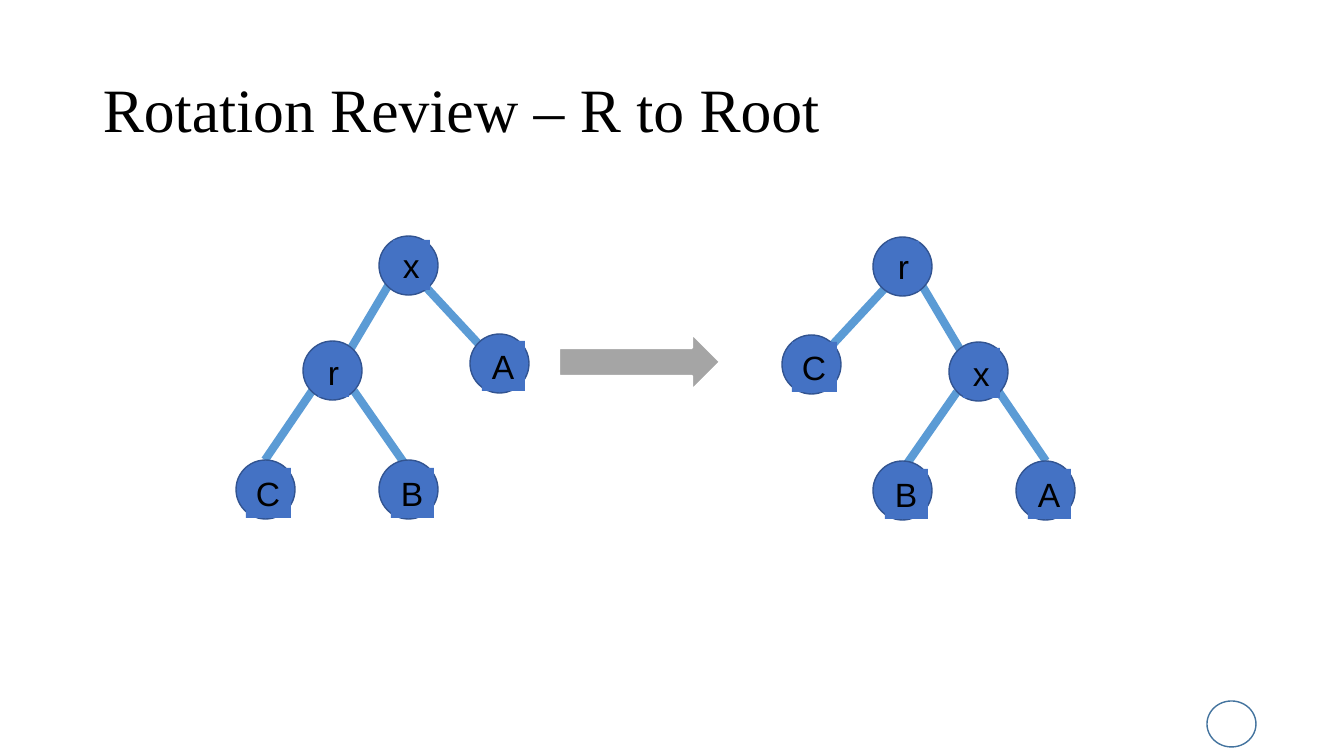
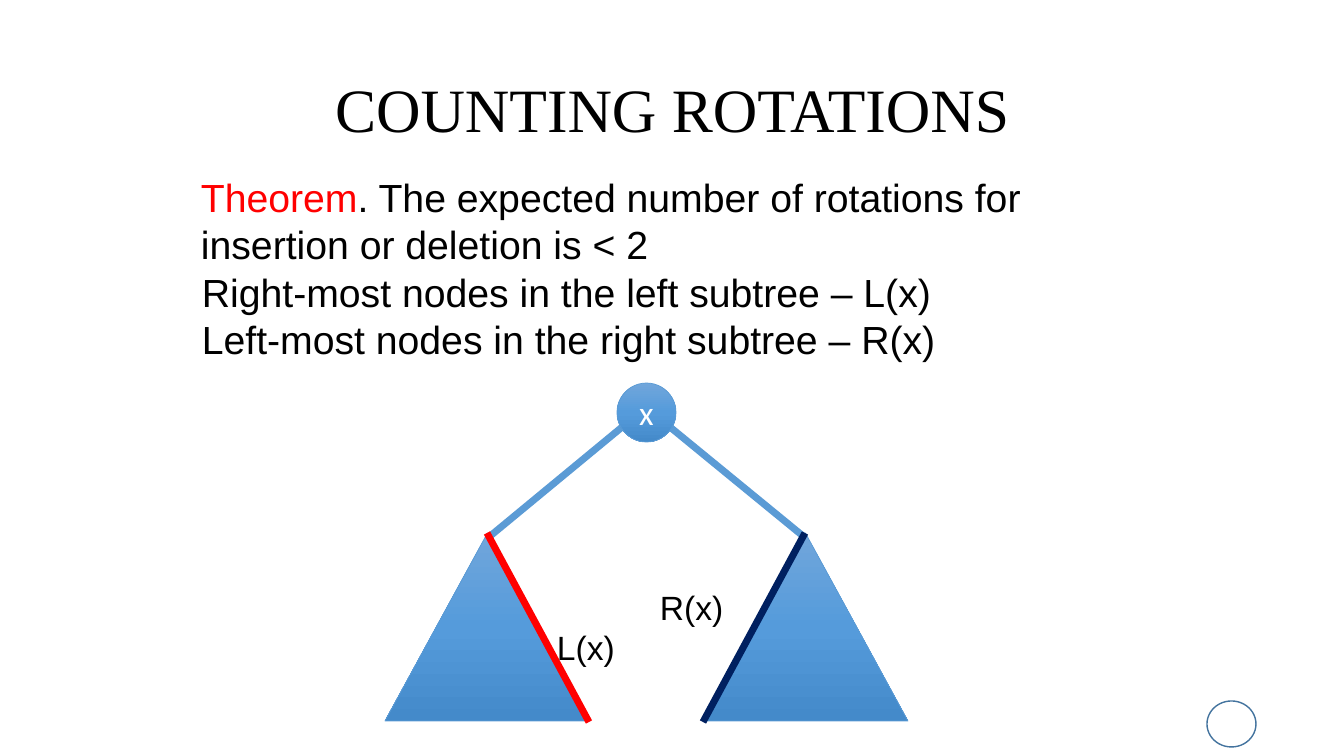
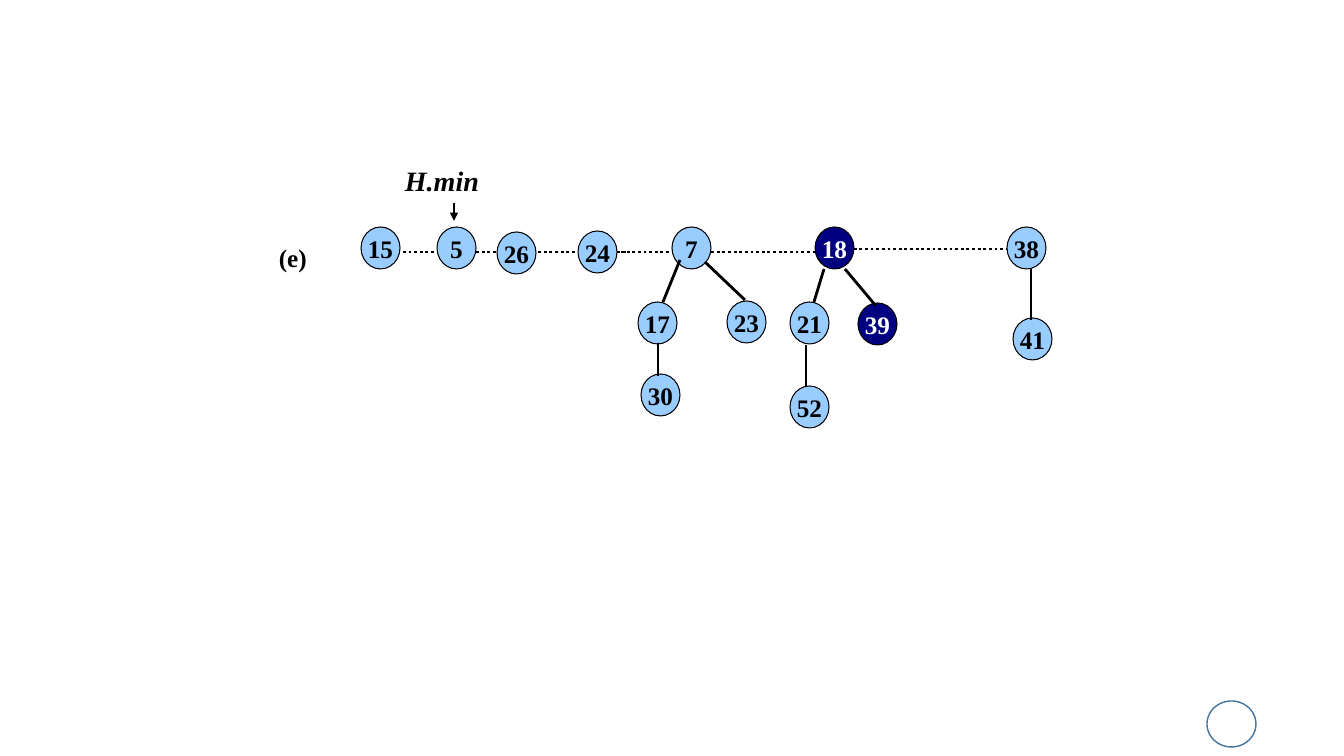
from copy import deepcopy
from lxml.etree import SubElement
from pptx import Presentation
from pptx.dml.color import RGBColor
from pptx.enum.dml import MSO_LINE
from pptx.enum.shapes import MSO_CONNECTOR, MSO_SHAPE
from pptx.enum.text import MSO_ANCHOR, PP_ALIGN
from pptx.oxml.ns import qn
from pptx.util import Pt

SCALE = 914400 / 100.8
HUES = {
    "ink": "000000", "white": "FFFFFF", "red": "FF0000", "navy": "002060",
    "blue": "4472C4", "rim": "325491", "edge": "5B9BD5", "gray": "A5A5A5",
    "ring": "43739E", "sky": "99CCFF", "dark": "000080",
    "top": "71A6DB", "mid": "559BDB", "base": "448ACA",
}
SERIF, SANS = "Times New Roman", "Arial"
DISC = 59
SLOTS = [(379, 236, 4), (303, 341, 6), (470, 334, 7), (236, 460, 8), (379, 460, 8)]
EDGES = [
    (410, 270, 501, 368), (265, 460, 312, 391),
    (350, 350, 388, 286), (407, 467, 354, 391),
]
TAGS = {"A": (12, 43), "B": (12, 43), "C": (10, 45), "r": (15, 31), "x": (14, 37)}
HEAP = [
    ("15", 361, 227), ("5", 437, 227), ("26", 497, 232), ("24", 578, 231),
    ("7", 672, 227), ("18", 815, 227), ("38", 1007, 227), ("41", 1013, 318),
    ("39", 858, 303), ("21", 790, 302), ("52", 790, 386), ("23", 727, 301),
    ("30", 641, 374), ("17", 638, 302),
]
MARKED = {"18", "39"}
ROOTS = [(403, 252, 630, 252), (621, 252, 823, 252), (820, 249, 1008, 249)]
LINKS = [
    (1031, 269, 1031, 320), (845, 269, 876, 306), (806, 345, 806, 386),
    (824, 269, 814, 302), (658, 343, 658, 376), (680, 260, 663, 302),
    (705, 262, 745, 300),
]


def px(*nums):
    return [round(num * SCALE) for num in nums]


def color(name):
    return RGBColor.from_string(HUES[name])


def style(run, size, face, hue, bold=False, slant=False):
    font = run.font
    font.size, font.name, font.bold, font.italic = Pt(size), face, bold, slant
    font.color.rgb = color(hue)


def write(item, words, size, face, hue="ink", align=PP_ALIGN.LEFT,
          anchor=MSO_ANCHOR.TOP, wrap=True, bold=False, slant=False):
    frame = item.text_frame
    frame.text = words
    frame.word_wrap = wrap
    frame.vertical_anchor = anchor
    for para in frame.paragraphs:
        para.alignment = align
        for run in para.runs:
            style(run, size, face, hue, bold, slant)
    return frame


def text(slide, box, words, size, face, **look):
    return write(slide.shapes.add_textbox(*px(*box)), words, size, face, **look)


def shape(slide, kind, box, fill=None, rim=None, width=1):
    item = slide.shapes.add_shape(kind, *px(*box))
    item.shadow.inherit = False
    if fill:
        item.fill.solid()
        item.fill.fore_color.rgb = color(fill)
    else:
        item.fill.background()
    if rim:
        item.line.color.rgb = color(rim)
        item.line.width = Pt(width)
    else:
        item.line.fill.background()
    return item


def shade(slide, kind, box):
    item = shape(slide, kind, box, rim="edge", width=0.5)
    item.fill.gradient()
    item.fill.gradient_angle = 270
    first = item._element.spPr.find(".//" + qn("a:gs"))
    first.addnext(deepcopy(first))
    stops = zip(item.fill.gradient_stops, ("top", "mid", "base"), (0, 0.5, 1))
    for stop, hue, place in stops:
        stop.color.rgb = color(hue)
        stop.position = place
    return item


def line(slide, ends, hue="ink", width=2, dots=False, arrow=False):
    item = slide.shapes.add_connector(MSO_CONNECTOR.STRAIGHT, *px(*ends))
    item.line.color.rgb = color(hue)
    item.line.width = Pt(width)
    if dots:
        item.line.dash_style = MSO_LINE.ROUND_DOT
    if arrow:
        SubElement(item.line._get_or_add_ln(), qn("a:tailEnd"), type="triangle")
    SubElement(item._element.spPr, qn("a:effectLst"))


def start(deck, title=None, align=PP_ALIGN.LEFT):
    slide = deck.slides.add_slide(deck.slide_layouts[6])
    shape(slide, MSO_SHAPE.OVAL, (1207, 701, 49, 46), rim="ring")
    if title:
        frame = text(slide, (93, 40, 1159, 146), title, 44, SERIF,
                     align=align, anchor=MSO_ANCHOR.MIDDLE)
        frame.paragraphs[0].line_spacing = 0.9
    return slide


def tree(slide, names, flip=False):
    def turn(x, span=0):
        return 1311 - span - x if flip else x

    drop = 1 if flip else 0
    for x1, y1, x2, y2 in EDGES:
        line(slide, (turn(x1), y1 + drop, turn(x2), y2 + drop), "edge", 5.83)
    for name, (left, top, dip) in zip(names, SLOTS):
        left, top = turn(left, DISC), top + drop
        shape(slide, MSO_SHAPE.OVAL, (left, top, DISC, DISC), "blue", "rim")
        shift, width = TAGS[name]
        tag = shape(slide, MSO_SHAPE.RECTANGLE,
                    (left + shift, top + dip, width, 50), "blue")
        write(tag, name, 24, SANS, wrap=False)


def review(deck):
    slide = start(deck, "Rotation Review – R to Root")
    tree(slide, "xrACB")
    shape(slide, MSO_SHAPE.RIGHT_ARROW, (559, 334, 161, 56), "gray", "white", 1.5)
    tree(slide, "rxCAB", flip=True)


def count(deck):
    slide = start(deck, "COUNTING ROTATIONS", PP_ALIGN.CENTER)
    frame = text(slide, (191, 168, 952, 105), "Theorem", 28, SANS, hue="red")
    rest = frame.paragraphs[0].add_run()
    rest.text = ". The expected number of rotations for insertion or deletion is < 2"
    style(rest, 28, SANS, "ink")
    line(slide, (648, 409, 803, 536), "edge", 5)
    line(slide, (644, 409, 489, 537), "edge", 5)
    root = shade(slide, MSO_SHAPE.OVAL, (617, 383, DISC, DISC))
    write(root, "x", 24, "Calibri", "white", PP_ALIGN.CENTER, MSO_ANCHOR.MIDDLE)
    for left in (385, 703):
        shade(slide, MSO_SHAPE.ISOSCELES_TRIANGLE, (left, 533, 205, 188))
    line(slide, (487, 533, 589, 722), "red", 5)
    line(slide, (805, 533, 703, 722), "navy", 5)
    text(slide, (547, 622, 79, 50), "L(x)", 24, SANS)
    text(slide, (650, 582, 93, 50), "R(x)", 24, SANS)
    text(slide, (192, 263, 969, 105),
         "Right-most nodes in the left subtree – L(x)\n"
         "Left-most nodes in the right subtree – R(x)", 28, SANS)


def heap(deck):
    slide = start(deck)
    text(slide, (269, 237, 48, 40), "(e)", 18, SERIF, wrap=False, bold=True)
    for ends in ROOTS:
        line(slide, ends, dots=True)
    for name, left, top in HEAP:
        fill, hue = ("dark", "white") if name in MARKED else ("sky", "ink")
        node = shape(slide, MSO_SHAPE.OVAL, (left, top, 39, 42), fill, "ink", 0.75)
        write(node, name, 18, SERIF, hue, PP_ALIGN.CENTER, MSO_ANCHOR.MIDDLE,
              wrap=False, bold=True)
    for ends in LINKS:
        line(slide, ends)
    text(slide, (395, 159, 94, 43), "H.min", 20, SERIF,
         wrap=False, bold=True, slant=True)
    line(slide, (454, 203, 454, 221), width=0.75, arrow=True)


def main():
    deck = Presentation()
    deck.slide_width, deck.slide_height = px(1344, 756)
    review(deck)
    count(deck)
    heap(deck)
    deck.save("out.pptx")


if __name__ == "__main__":
    main()
